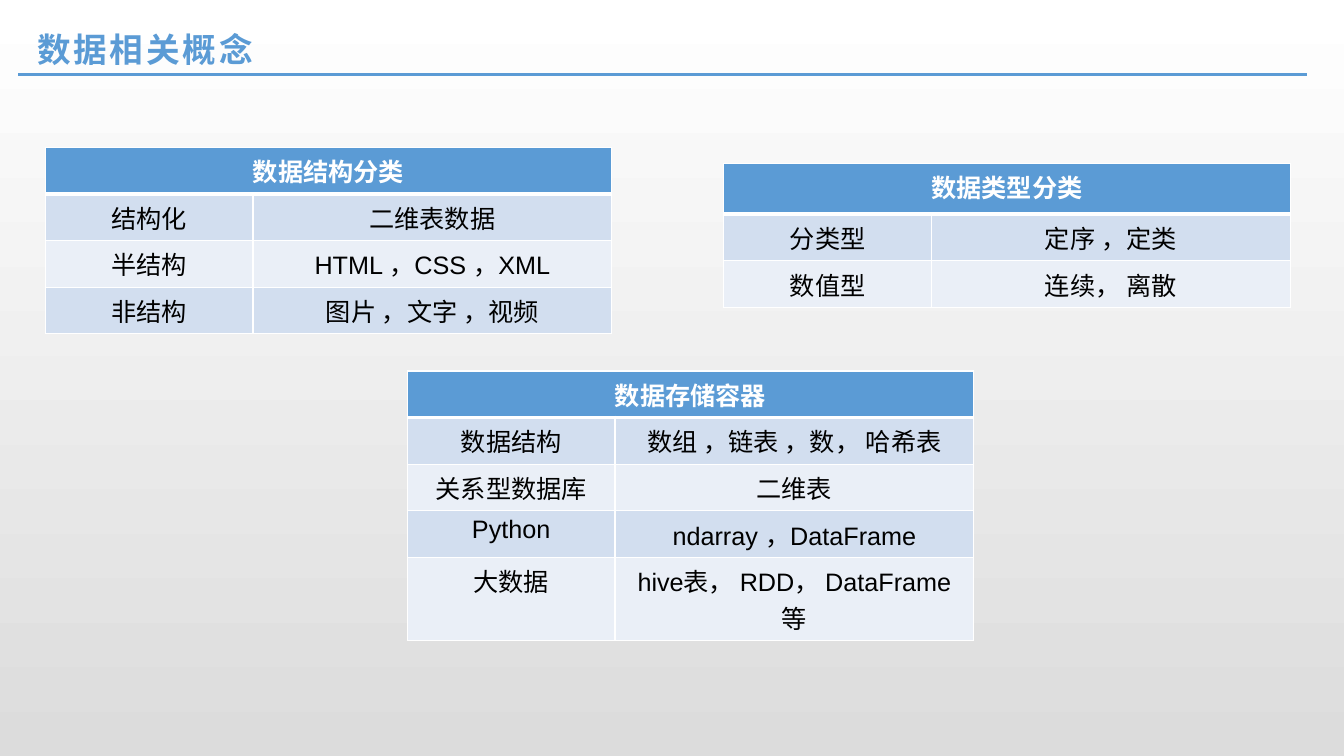
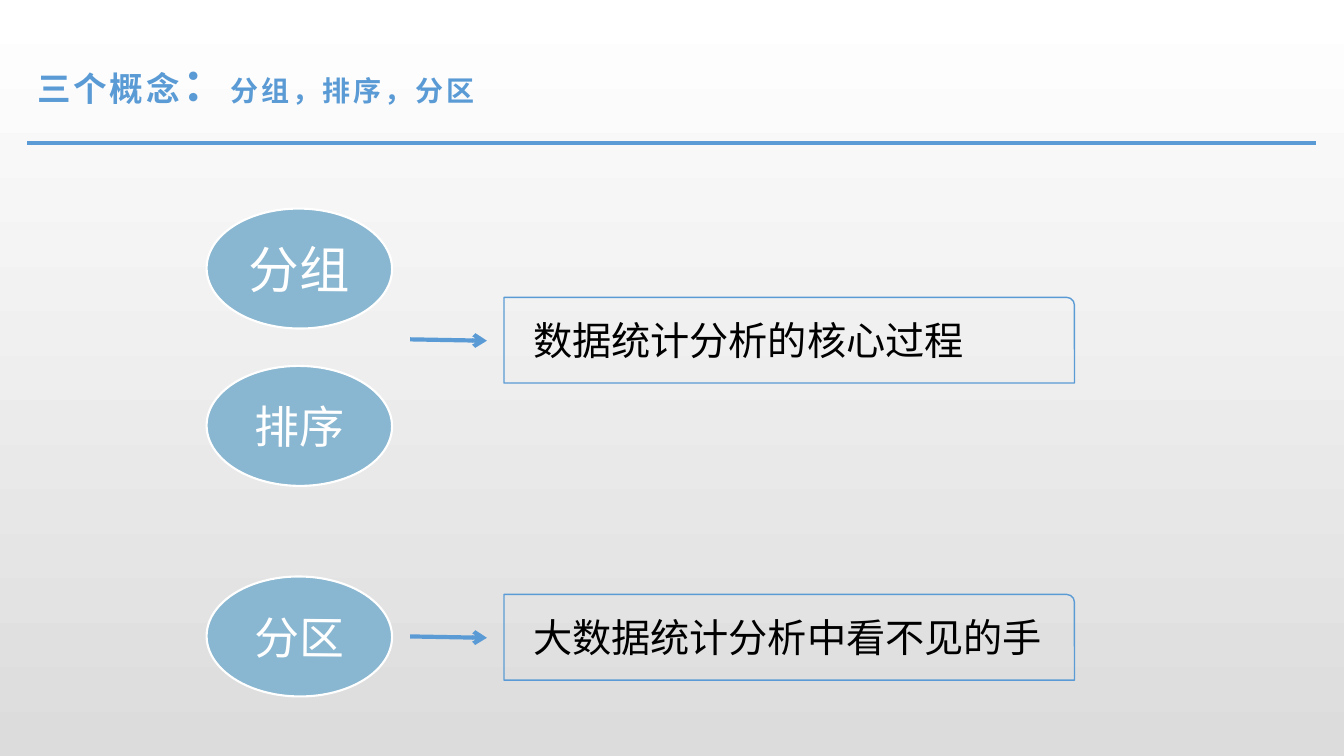
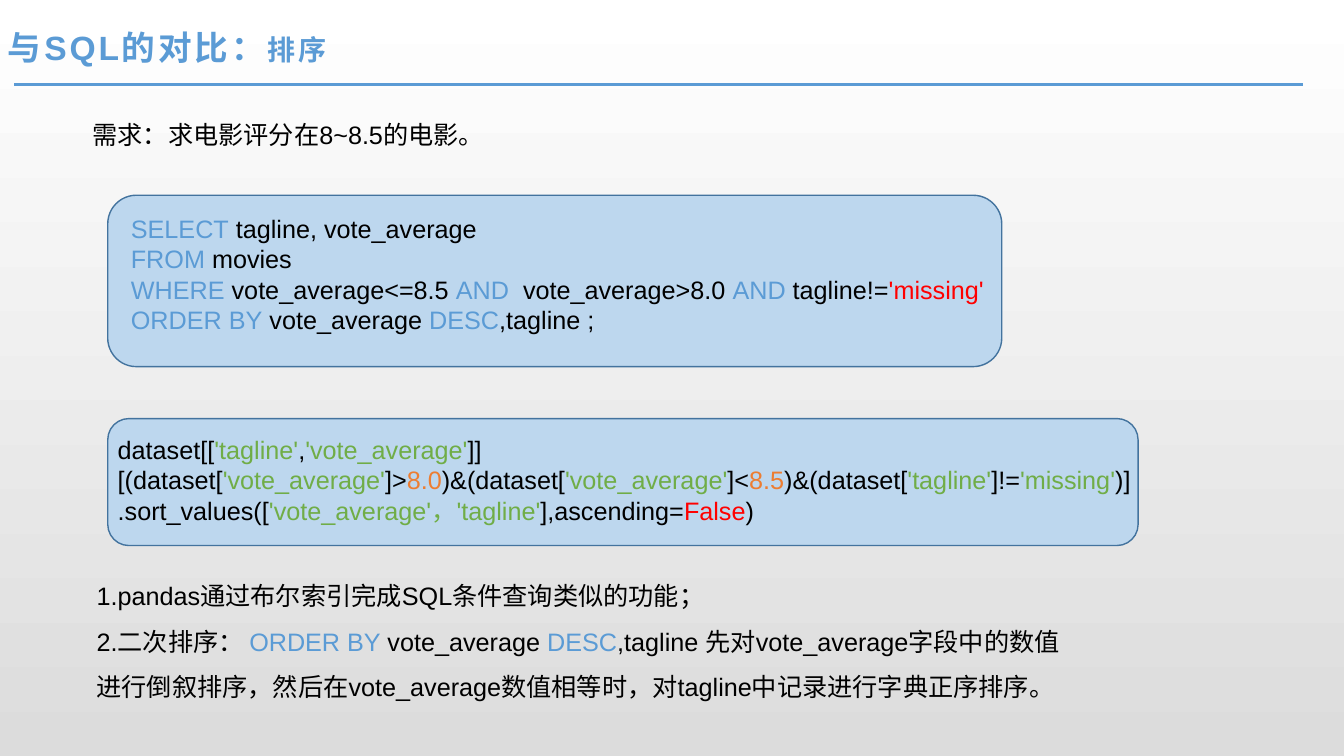
from lxml.etree import SubElement
from pptx import Presentation
from pptx.dml.color import RGBColor
from pptx.enum.shapes import MSO_CONNECTOR, MSO_SHAPE
from pptx.enum.text import MSO_ANCHOR, MSO_AUTO_SIZE, PP_ALIGN
from pptx.oxml.ns import qn
from pptx.util import Pt

HUES = {
    "blue": "5B9BD5", "navy": "43739E", "sky": "BDD7EE", "oval": "89B6D0",
    "band": "D2DEEF", "pale": "EAEFF7", "white": "FFFFFF", "grey": "DCDCDC",
    "black": "000000", "green": "70AD47", "orange": "ED7D31", "red": "FF0000",
}
ROW = 33.3


def hue(name):
    return RGBColor.from_string(HUES[name])


def style(run, size=18, color="black", bold=False, font="Arial", space=0):
    run.font.size = Pt(size)
    run.font.color.rgb = hue(color)
    run.font.bold = bold
    run.font.name = font
    if space:
        run.font._element.set("spc", str(space * 100))


def write(frame, text, align=PP_ALIGN.LEFT, lead=None, **look):
    """Fill a frame from a string, or from paragraphs of runs; a run is a string or (string, format)."""
    paras = [[text]] if isinstance(text, str) else text
    for i, runs in enumerate(paras):
        para = frame.add_paragraph() if i else frame.paragraphs[0]
        para.alignment = align
        if lead:
            para.line_spacing = lead
        for part in runs:
            words, extra = (part, {}) if isinstance(part, str) else part
            run = para.add_run()
            run.text = words
            style(run, **{**look, **extra})


def edge(cell, row):
    """Draw white borders, thick between the header and the body."""
    props = cell._tc.get_or_add_tcPr()
    for side in "LRTB":
        width = 3 if (row, side) in ((0, "B"), (1, "T")) else 1
        line = SubElement(props, qn(f"a:ln{side}"), w=str(int(Pt(width))))
        fill = SubElement(line, qn("a:solidFill"))
        SubElement(fill, qn("a:srgbClr"), val=HUES["white"])


class Deck:
    def __init__(self):
        self.prs = Presentation()
        self.prs.slide_width, self.prs.slide_height = Pt(960), Pt(540)
        fill = self.prs.slide_master.background.fill
        fill.gradient()
        fill.gradient_angle = 270
        for stop, name in zip(fill.gradient_stops, ("white", "grey")):
            stop.color.rgb = hue(name)

    def page(self, title, left, base, rule):
        """Start a slide; rule is the (left, top) of the line under the title."""
        self.slide = self.prs.slides.add_slide(self.prs.slide_layouts[6])
        box = self.text(title, left, base - 50, 855, 50, grow=False, lead=0.9,
                        size=24, color="blue", bold=True, space=2)
        box.text_frame.vertical_anchor = MSO_ANCHOR.BOTTOM
        x, y = rule
        self.line(x, y, x + 920.5, y)

    def text(self, text, x, y, w, h, grow=True, **look):
        box = self.slide.shapes.add_textbox(Pt(x), Pt(y), Pt(w), Pt(h))
        frame = box.text_frame
        frame.word_wrap = True
        if grow:
            frame.auto_size = MSO_AUTO_SIZE.SHAPE_TO_FIT_TEXT
        write(frame, text, **look)
        return box

    def shape(self, kind, x, y, w, h, fill=None, edge="blue", width=1):
        item = self.slide.shapes.add_shape(kind, Pt(x), Pt(y), Pt(w), Pt(h))
        item.shadow.inherit = False
        if fill:
            item.fill.solid()
            item.fill.fore_color.rgb = hue(fill)
        else:
            item.fill.background()
        item.line.color.rgb = hue(edge)
        item.line.width = Pt(width)
        return item

    def oval(self, text, y, size):
        item = self.shape(MSO_SHAPE.OVAL, 147.6, y, 132.5, 85.7, "oval", "white", 1.5)
        item.rotation = 0.5
        frame = item.text_frame
        frame.margin_left = frame.margin_right = frame.margin_top = frame.margin_bottom = 0
        frame.vertical_anchor = MSO_ANCHOR.MIDDLE
        write(frame, text, PP_ALIGN.CENTER, size=size, color="white", font="Roboto Condensed")

    def note(self, text, y, width):
        """Draw an arrow and the framed remark it leads to."""
        card = self.shape(MSO_SHAPE.ROUND_1_RECTANGLE, 360, y, 407.5, 61.2)
        card.adjustments[0] = 0.089
        self.text(text, 373.7, y + 9.7, width, 41, size=28)
        self.line(293, y + 30, 347.8, y + 31, 3, True)

    def panel(self, x, y, w, h):
        self.shape(MSO_SHAPE.ROUNDED_RECTANGLE, x, y, w, h, "sky", "navy")

    def line(self, x, y, right, low, width=2.25, arrow=False):
        line = self.slide.shapes.add_connector(
            MSO_CONNECTOR.STRAIGHT, Pt(x), Pt(y), Pt(right), Pt(low))
        line.line.color.rgb = hue("blue")
        line.line.width = Pt(width)
        if arrow:
            SubElement(line.line._get_or_add_ln(), qn("a:tailEnd"), type="arrow")
        SubElement(line._element.spPr, qn("a:effectLst"))

    def table(self, x, y, title, rows, head=ROW, last=ROW):
        """Draw a titled two-column table; head and last are the outer row heights."""
        cols = (148.3, 256.3)
        highs = [head] + [ROW] * (len(rows) - 1) + [last]
        grid = self.slide.shapes.add_table(
            len(highs), 2, Pt(x), Pt(y), Pt(sum(cols)), Pt(sum(highs))).table
        for col, width in zip(grid.columns, cols):
            col.width = Pt(width)
        for r, texts in enumerate([(title, "")] + rows):
            grid.rows[r].height = Pt(highs[r])
            for c, text in enumerate(texts):
                cell = grid.cell(r, c)
                edge(cell, r)
                cell.fill.solid()
                cell.fill.fore_color.rgb = hue(("pale", "band")[r % 2] if r else "blue")
                if text:
                    write(cell.text_frame, text, PP_ALIGN.CENTER,
                          color="black" if r else "white", bold=not r)
        grid.cell(0, 0).merge(grid.cell(0, 1))


def terms(deck):
    deck.page("数据相关概念", 19.4, 53.3, (13, 53.3))
    deck.table(291, 265, "数据存储容器", [
        ("数据结构", "数组 ，链表 ，数， 哈希表"),
        ("关系型数据库", "二维表"),
        ("Python", "ndarray ，DataFrame"),
        ("大数据", "hive表， RDD， DataFrame等")], last=59.5)
    deck.table(32.4, 105.3, "数据结构分类", [
        ("结构化", "二维表数据"),
        ("半结构", "HTML ，CSS ，XML"),
        ("非结构", "图片 ，文字 ，视频")])
    deck.table(517, 116.6, "数据类型分类", [
        ("分类型", "定序 ，定类"),
        ("数值型", "连续， 离散")], head=36.5)


def steps(deck):
    deck.page([["三个概念", ("：", {"size": 32}), ("分组，排序，分区", {"size": 20})]],
              19.4, 82.8, (19.6, 102.2))
    for text, y, size in (("分组", 149, 36), ("排序", 261.4, 32), ("分区", 411.8, 32)):
        deck.oval(text, y, size)
    deck.note("数据统计分析的核心过程", 212.4, 359)
    deck.note("大数据统计分析中看不见的手", 424.6, 427)


def sorting(deck):
    blue, green, orange, red = ({"color": name} for name in ("blue", "green", "orange", "red"))
    tag, vote = ("'tagline'", green), ("'vote_average'", green)
    deck.page([["与SQL的对比：", ("排序", {"size": 20})]], -1.4, 51.8, (10.3, 60.5))
    deck.text("需求：求电影评分在8~8.5的电影。", 59, 81.4, 470, 29)
    deck.panel(77, 139.5, 638.6, 122.4)
    deck.text([
        [("SELECT", blue), " tagline, vote_average"],
        [("FROM", blue), " movies"],
        [("WHERE", blue), " vote_average<=8.5 ", ("AND", blue), "  vote_average>8.0 ",
         ("AND", blue), " tagline!=", ("'missing'", red)],
        [("ORDER BY", blue), " vote_average ", ("DESC", blue), ",tagline ;"],
    ], 86.4, 149, 635, 94.3)
    deck.panel(77, 299, 736, 90.7)
    deck.text([
        ["dataset[[", tag, ",", vote, "]]"],
        ["[(dataset[", vote, "]>", ("8.0", orange), ")&(dataset[", vote, "]<",
         ("8.5", orange), ")&(dataset[", tag, "]!=", ("'missing'", green), ")]"],
        [".sort_values([", ("'vote_average'，'tagline'", green), "],ascending=",
         ("False", red), ")"],
    ], 77, 306.7, 744, 72.7)
    deck.text([
        ["1.pandas通过布尔索引完成SQL条件查询类似的功能；"],
        ["2.二次排序： ", ("ORDER BY ", blue), "vote_average ", ("DESC", blue),
         ",tagline 先对vote_average字段中的数值进行倒叙排序，"
         "然后在vote_average数值相等时，对tagline中记录进行字典正序排序。"],
    ], 61.9, 400.3, 706.3, 105, lead=1.5)


def main():
    deck = Deck()
    for build in (terms, steps, sorting):
        build(deck)
    deck.prs.save("out.pptx")


if __name__ == "__main__":
    main()
